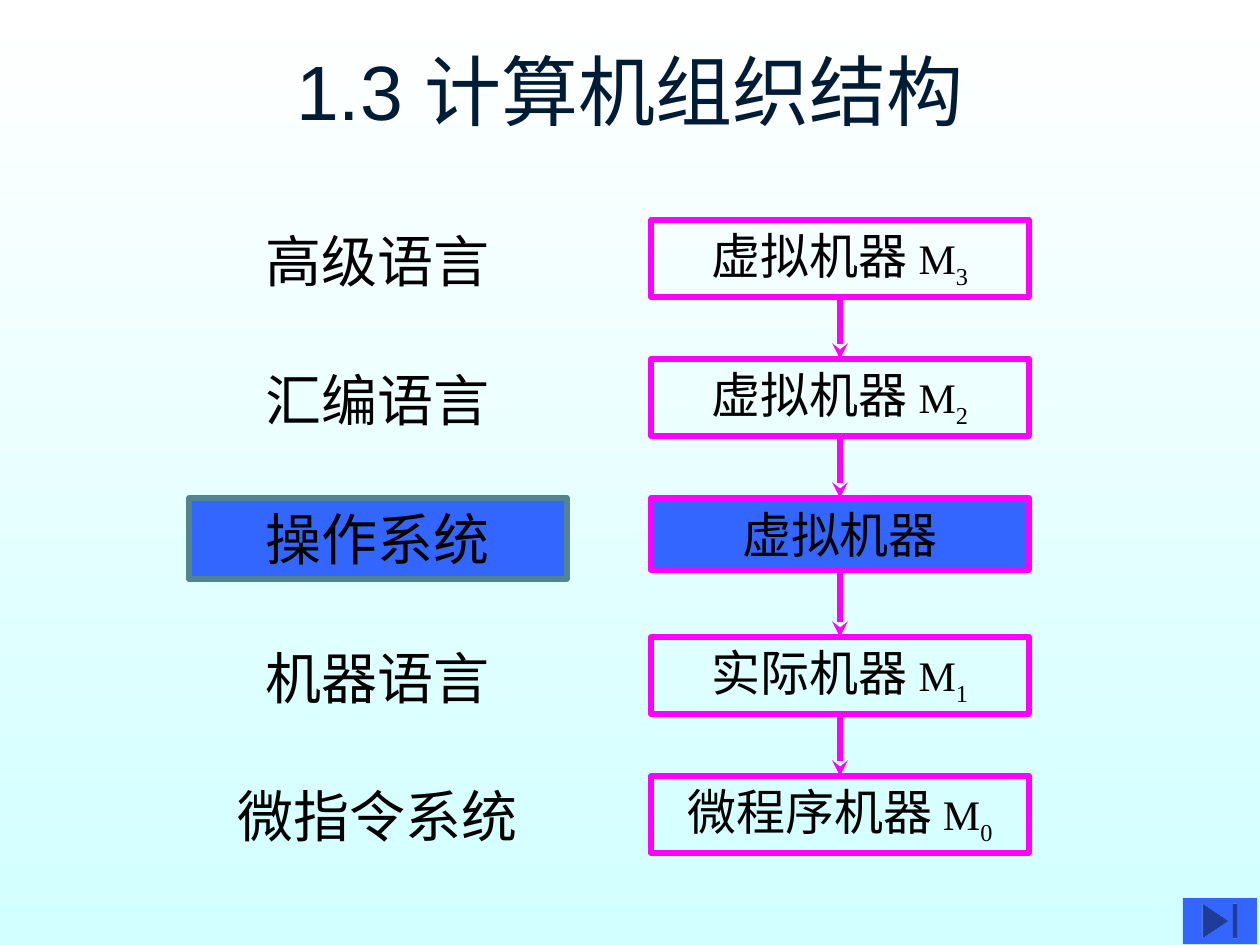
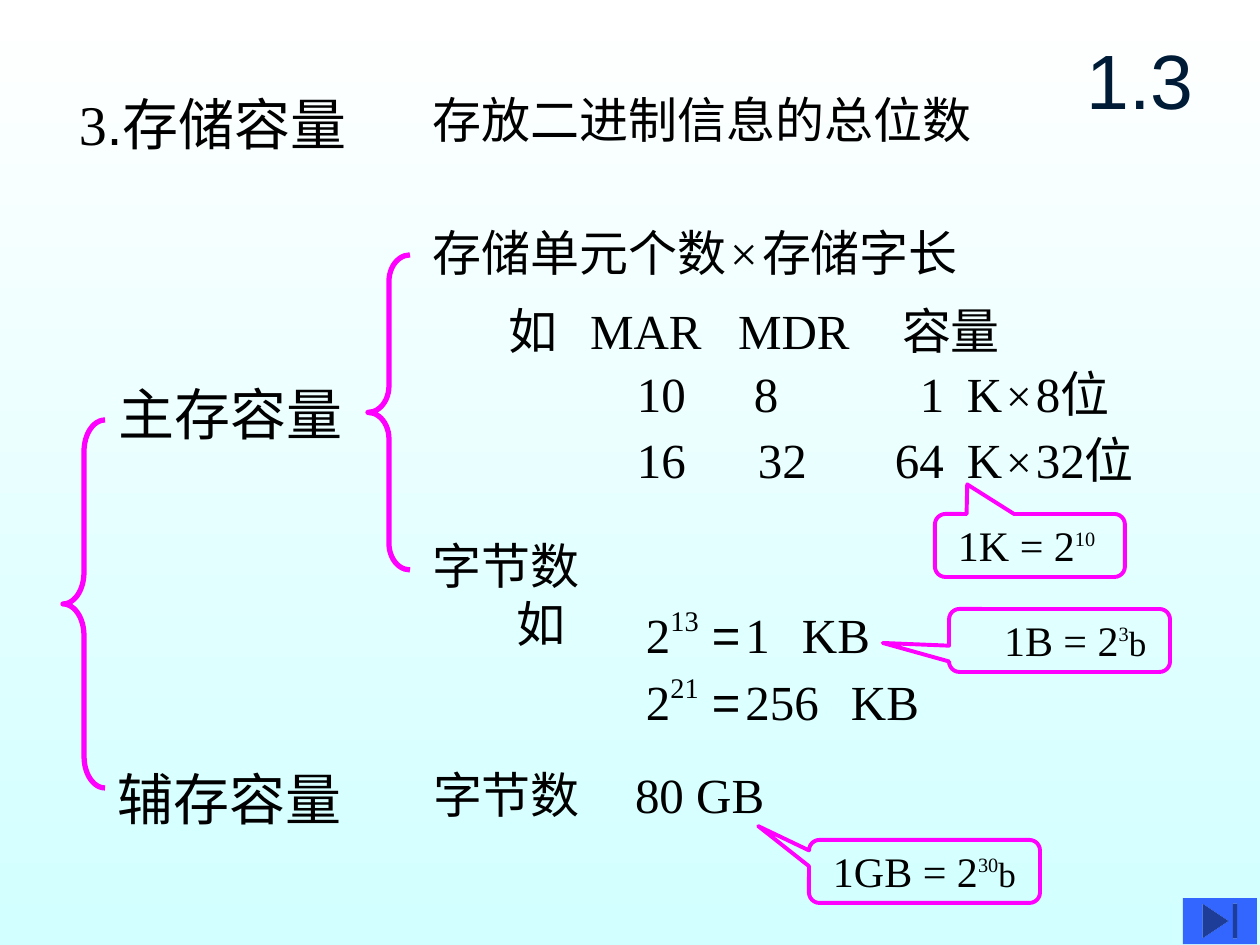
from dataclasses import dataclass

from lxml.etree import SubElement
from pptx import Presentation
from pptx.dml.color import RGBColor
from pptx.enum.shapes import MSO_CONNECTOR, MSO_SHAPE
from pptx.enum.text import MSO_ANCHOR, MSO_AUTO_SIZE, PP_ALIGN
from pptx.oxml.ns import qn
from pptx.shapes.autoshape import Shape
from pptx.slide import Slide
from pptx.util import Emu, Pt

PX_PER_INCH = 126
WIDTH, HEIGHT = 1260, 945
BLACK = RGBColor(0x00, 0x00, 0x00)
WHITE = RGBColor(0xFF, 0xFF, 0xFF)
PALE_CYAN = RGBColor(0xD2, 0xFF, 0xFF)
NAVY = RGBColor(0x00, 0x1B, 0x36)
MAGENTA = RGBColor(0xFF, 0x00, 0xFF)
BLUE = RGBColor(0x33, 0x66, 0xFF)
TEAL = RGBColor(0x51, 0x84, 0x8E)
SANS, SERIF = "Arial", "Times New Roman"


@dataclass(frozen=True)
class Run:
    text: str
    size: float = 28
    font: str = SANS
    baseline: int = 0


@dataclass(frozen=True)
class Box:
    left: int
    top: int
    width: int
    height: int

    def emu(self) -> tuple[Emu, ...]:
        return tuple(px(n) for n in (self.left, self.top, self.width, self.height))


@dataclass(frozen=True)
class Level:
    language: str
    machine: str
    index: str = ""
    height: int = 77
    fill: RGBColor | None = None


@dataclass(frozen=True)
class Note:
    box: Box
    tip: tuple[float, float]
    indent: int
    runs: tuple[Run, ...]


@dataclass(frozen=True)
class Passage:
    box: Box
    runs: tuple[Run, ...]
    tabs: tuple[int, ...] = ()


@dataclass(frozen=True)
class Brace:
    box: Box
    curve: float


def px(length: int) -> Emu:
    return Emu(round(length * 914400 / PX_PER_INCH))


def serif(text: str, size: float = 28, baseline: int = 0) -> Run:
    return Run(text, size, SERIF, baseline)


def write(shape: Shape, *runs: Run, color: RGBColor = BLACK,
          align: PP_ALIGN = PP_ALIGN.LEFT, anchor: MSO_ANCHOR = MSO_ANCHOR.TOP,
          margins: tuple[int, int, int, int] = (13, 6, 13, 6),
          tabs: tuple[int, ...] = ()) -> None:
    frame = shape.text_frame
    frame.auto_size = MSO_AUTO_SIZE.NONE
    frame.word_wrap = True
    frame.vertical_anchor = anchor
    (frame.margin_left, frame.margin_top,
     frame.margin_right, frame.margin_bottom) = map(px, margins)
    paragraph = frame.paragraphs[0]
    paragraph.alignment = align
    if tabs:
        stops = SubElement(paragraph._p.get_or_add_pPr(), qn("a:tabLst"))
        for position in tabs:
            SubElement(stops, qn("a:tab"), pos=str(px(position)), algn="l")
    for part in runs:
        run = paragraph.add_run()
        run.text = part.text
        run.font.size = Pt(part.size)
        run.font.name = part.font
        run.font.color.rgb = color
        if part.baseline:
            run.font._element.set("baseline", str(part.baseline * 1000))


def add_outline(slide: Slide, kind: MSO_SHAPE, box: Box, *,
                fill: RGBColor | None = None, line: RGBColor | None = MAGENTA,
                weight: float = 3) -> Shape:
    shape = slide.shapes.add_shape(kind, *box.emu())
    shape.shadow.inherit = False
    if fill is None:
        shape.fill.background()
    else:
        shape.fill.solid()
        shape.fill.fore_color.rgb = fill
    if line is None:
        shape.line.fill.background()
    else:
        shape.line.color.rgb = line
        shape.line.width = Pt(weight)
    return shape


def add_arrow(slide: Slide, x: int, start: int, end: int) -> None:
    arrow = slide.shapes.add_connector(
        MSO_CONNECTOR.STRAIGHT, px(x), px(start), px(x), px(end))
    arrow.line.color.rgb = MAGENTA
    arrow.line.width = Pt(3)
    SubElement(arrow.line._get_or_add_ln(), qn("a:tailEnd"), type="stealth")
    SubElement(arrow._element.spPr, qn("a:effectLst"))


def add_passage(slide: Slide, passage: Passage) -> None:
    write(slide.shapes.add_textbox(*passage.box.emu()), *passage.runs, tabs=passage.tabs)


def add_note(slide: Slide, note: Note) -> None:
    callout = add_outline(slide, MSO_SHAPE.ROUNDED_RECTANGULAR_CALLOUT, note.box, weight=2.25)
    callout.adjustments[0], callout.adjustments[1] = note.tip
    write(callout, *note.runs, margins=(note.indent, 3, 0, 0))


def add_brace(slide: Slide, brace: Brace) -> None:
    add_outline(slide, MSO_SHAPE.LEFT_BRACE, brace.box).adjustments[0] = brace.curve


def start_slide(deck: Presentation, heading: str, box: Box, anchor: MSO_ANCHOR) -> Slide:
    slide = deck.slides.add_slide(deck.slide_layouts[5])
    title = slide.shapes.title
    title.left, title.top, title.width, title.height = box.emu()
    write(title, Run(heading, 44), color=NAVY, align=PP_ALIGN.CENTER, anchor=anchor)
    add_outline(slide, MSO_SHAPE.ACTION_BUTTON_END, Box(1183, 898, 74, 46),
                fill=BLUE, line=None)
    return slide


def paint_background(deck: Presentation) -> None:
    fill = deck.slide_master.background.fill
    fill.gradient()
    fill.gradient_angle = 270
    for stop, position, color in zip(fill.gradient_stops, (0, 1), (WHITE, PALE_CYAN)):
        stop.position = position
        stop.color.rgb = color


LEVELS = (
    Level("高级语言", "虚拟机器", "3"),
    Level("汇编语言", "虚拟机器", "2"),
    Level("操作系统", "虚拟机器", height=72, fill=BLUE),
    Level("机器语言", "实际机器", "1"),
    Level("微指令系统", "微程序机器", "0"),
)


def build_structure(deck: Presentation) -> None:
    slide = start_slide(deck, "1.3 计算机组织结构", Box(63, 38, 1134, 110), MSO_ANCHOR.TOP)
    first_top, pitch, width = 220, 139, 378
    language_left, machine_left = 189, 651
    for row, level in enumerate(LEVELS):
        top = first_top + row * pitch
        if row < len(LEVELS) - 1:
            add_arrow(slide, machine_left + width // 2, top + level.height + 3, top + pitch)
        language = add_outline(slide, MSO_SHAPE.RECTANGLE, Box(language_left, top, width, 81),
                               fill=level.fill, line=TEAL if level.fill else None)
        write(language, Run(level.language, 32), align=PP_ALIGN.CENTER)
        machine = add_outline(slide, MSO_SHAPE.RECTANGLE,
                              Box(machine_left, top, width, level.height), fill=level.fill)
        names = [Run(level.machine)]
        if level.index:
            names = [Run(level.machine + " "), serif("M", 24), serif(level.index, 24, -25)]
        write(machine, *names, align=PP_ALIGN.CENTER)


def times(left: str, right: str) -> tuple[Run, ...]:
    return (serif(f"{left}\tK"), serif(" ", 9), serif("×", 26), serif(" ", 9), serif(right))


def kilobytes(exponent: str, amount: str) -> tuple[Run, ...]:
    return (serif("2"), serif(exponent, baseline=45), Run("\t="), Run(" ", 10),
            serif(f"{amount}\tKB"))


def power(base: str, exponent: str, unit: str = "") -> tuple[Run, ...]:
    runs = (serif(base, 24), serif(exponent, 20, 45))
    return runs + (serif(unit, 20),) if unit else runs


PASSAGES = (
    Passage(Box(66, 84, 438, 81), (serif("3", 32), Run(".存储容量", 32))),
    Passage(Box(420, 84, 703, 72), (Run("存放二进制信息的总位数"),)),
    Passage(Box(105, 374, 336, 81), (Run("主存容量", 32),)),
    Passage(Box(105, 759, 316, 81), (Run("辅存容量", 32),)),
    Passage(Box(420, 217, 703, 72), (Run("存储单元个数"), Run(" ", 9), serif("×"),
                                     Run(" ", 9), Run("存储字长"))),
    Passage(Box(495, 294, 723, 72), (Run("如"), serif("\tMAR\tMDR"), Run("\t容量")),
            (82, 230, 394)),
    Passage(Box(588, 357, 315, 72), (serif("\t10\t8"),), (36, 153)),
    Passage(Box(588, 423, 315, 72), (serif("\t16\t32"),), (36, 157)),
    Passage(Box(907, 357, 284, 72), times("1", "8位"), (47,)),
    Passage(Box(882, 423, 294, 72), times("64", "32位"), (72,)),
    Passage(Box(420, 529, 290, 72), (Run("字节数"),)),
    Passage(Box(504, 588, 105, 72), (Run("如"),)),
    Passage(Box(633, 597, 354, 73), kilobytes("13", "1"), (66, 156)),
    Passage(Box(633, 664, 358, 73), kilobytes("21", "256"), (66, 205)),
    Passage(Box(420, 759, 473, 72), (Run("字节数"), serif("\t80 GB")), (202,)),
)
BRACES = (
    Brace(Box(63, 420, 42, 368), 0.75),
    Brace(Box(368, 255, 42, 315), 0.63),
)
NOTES = (
    Note(Box(935, 514, 190, 63), (-0.33, -0.97), 20, power("1K = 2", "10")),
    Note(Box(949, 609, 221, 63), (-0.8, 0.04), 52, power("1B = 2", "3", "b")),
    Note(Box(809, 840, 231, 63), (-0.72, -0.72), 21, power("1GB = 2", "30", "b")),
)


def build_capacity(deck: Presentation) -> None:
    slide = start_slide(deck, "1.3", Box(1061, 21, 158, 116), MSO_ANCHOR.MIDDLE)
    for passage in PASSAGES:
        add_passage(slide, passage)
    for brace in BRACES:
        add_brace(slide, brace)
    for note in NOTES:
        add_note(slide, note)


def main() -> None:
    deck = Presentation()
    deck.slide_width, deck.slide_height = px(WIDTH), px(HEIGHT)
    paint_background(deck)
    build_structure(deck)
    build_capacity(deck)
    deck.save("out.pptx")


if __name__ == "__main__":
    main()
